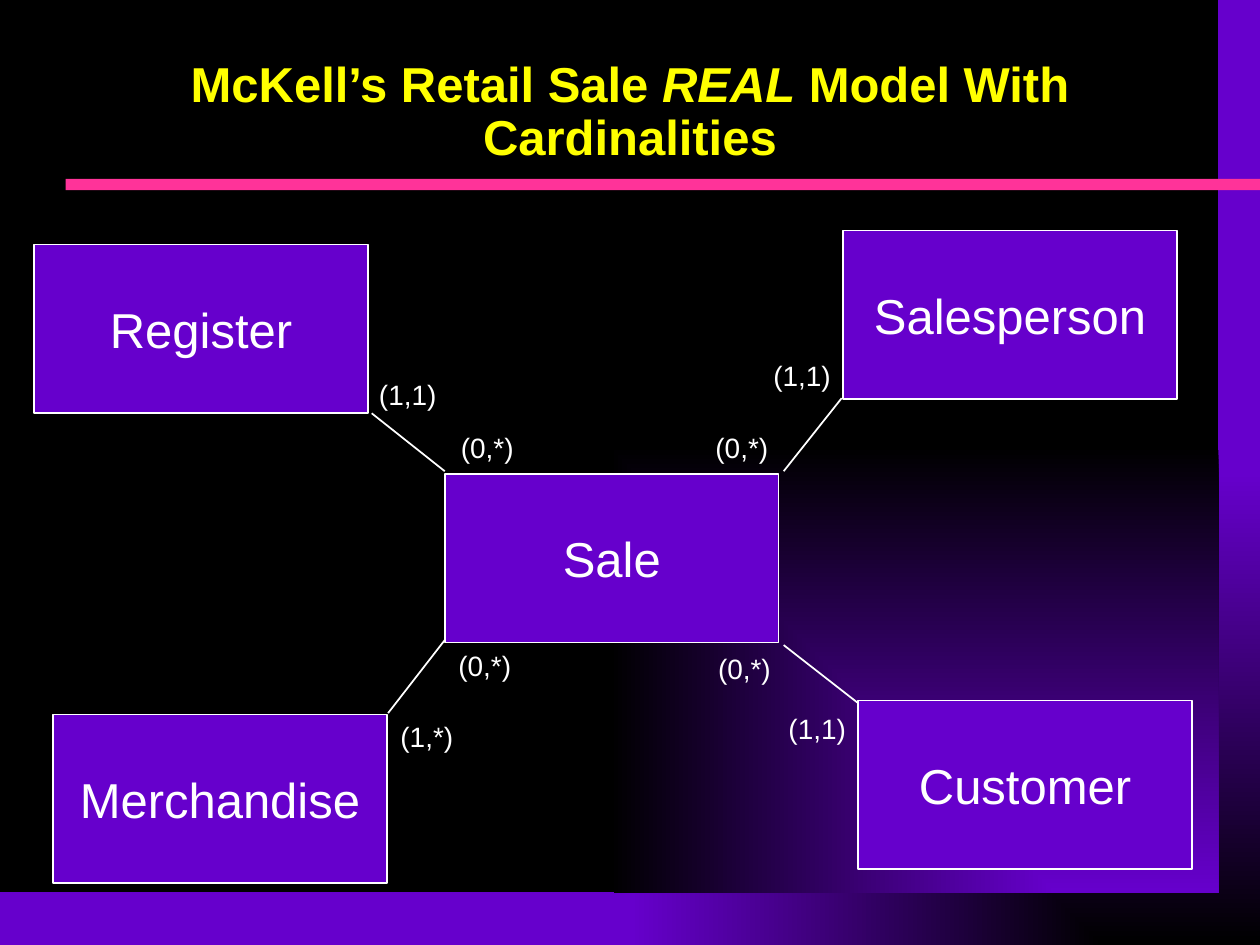
from lxml.etree import SubElement
from pptx import Presentation
from pptx.dml.color import RGBColor
from pptx.enum.shapes import MSO_CONNECTOR, MSO_SHAPE
from pptx.enum.text import MSO_ANCHOR, MSO_AUTO_SIZE, PP_ALIGN
from pptx.oxml.ns import qn
from pptx.util import Inches, Pt

BLACK = RGBColor(0x00, 0x00, 0x00)
PURPLE = RGBColor(0x66, 0x00, 0xCC)
PINK = RGBColor(0xFF, 0x33, 0x99)
YELLOW = RGBColor(0xFF, 0xFF, 0x00)
WHITE = RGBColor(0xFF, 0xFF, 0xFF)

ENTITY_WIDTH, ENTITY_HEIGHT = 2.65, 1.34
ENTITIES = [
    ("Sale", 3.53, 3.76),
    ("Customer", 6.81, 5.56),
    ("Merchandise", 0.42, 5.67),
    ("Salesperson", 6.69, 1.83),
    ("Register", 0.27, 1.94),
]
RELATIONSHIPS = [
    (2.95, 3.28, 3.53, 3.74),
    (6.22, 5.12, 6.81, 5.58),
    (6.22, 3.74, 6.68, 3.16),
    (3.08, 5.66, 3.53, 5.08),
]
CARDINALITIES = [
    ("(1,1)", 2.91, 2.95, 0.66),
    ("(0,*)", 3.56, 3.37, 0.62),
    ("(0,*)", 5.58, 3.37, 0.62),
    ("(1,1)", 6.04, 2.8, 0.66),
    ("(0,*)", 5.6, 5.12, 0.62),
    ("(1,1)", 6.16, 5.6, 0.66),
    ("(1,*)", 3.08, 5.66, 0.62),
    ("(0,*)", 3.54, 5.1, 0.62),
]


def set_corner_gradient(fill, owner, corner_color, far_color):
    fill.gradient()
    for stop, color in zip(fill.gradient_stops, (corner_color, far_color)):
        stop.color.rgb = color
    gradient = owner.find(".//" + qn("a:gradFill"))
    linear = gradient.find(qn("a:lin"))
    if linear is not None:
        gradient.remove(linear)
    rectangular = SubElement(gradient, qn("a:path"), path="rect")
    SubElement(rectangular, qn("a:fillToRect"), l="100000", t="100000")


def set_font(font, size, color):
    font.name = "Arial"
    font.size = Pt(size)
    font.color.rgb = color


def add_rectangle(slide, left, top, width, height):
    rectangle = slide.shapes.add_shape(
        MSO_SHAPE.RECTANGLE, Inches(left), Inches(top), Inches(width), Inches(height)
    )
    rectangle.shadow.inherit = False
    rectangle.line.fill.background()
    return rectangle


def add_backdrop(slide):
    set_corner_gradient(slide.background.fill, slide.element, BLACK, PURPLE)
    panel = add_rectangle(slide, 0, 0, 9.67, 7.08)
    set_corner_gradient(panel.fill, panel.element, PURPLE, BLACK)
    title_rule = add_rectangle(slide, 0.52, 1.42, 9.48, 0.09)
    title_rule.fill.solid()
    title_rule.fill.fore_color.rgb = PINK


def add_title(slide):
    title = slide.shapes.add_textbox(Inches(0.75), Inches(0.27), Inches(8.5), Inches(1.25))
    frame = title.text_frame
    frame.word_wrap = True
    frame.vertical_anchor = MSO_ANCHOR.MIDDLE
    paragraph = frame.paragraphs[0]
    paragraph.alignment = PP_ALIGN.CENTER
    paragraph.line_spacing = 0.9
    for words, italic in (
        ("McKell’s Retail Sale ", False),
        ("REAL", True),
        (" Model With Cardinalities", False),
    ):
        run = paragraph.add_run()
        run.text = words
        set_font(run.font, 28, YELLOW)
        run.font.bold = True
        run.font.italic = italic


def add_entity(slide, name, left, top):
    entity = add_rectangle(slide, left, top, ENTITY_WIDTH, ENTITY_HEIGHT)
    entity.fill.solid()
    entity.fill.fore_color.rgb = PURPLE
    entity.line.color.rgb = WHITE
    entity.line.width = Pt(1)
    frame = entity.text_frame
    frame.text = name
    frame.word_wrap = False
    frame.vertical_anchor = MSO_ANCHOR.MIDDLE
    frame.paragraphs[0].alignment = PP_ALIGN.CENTER
    set_font(frame.paragraphs[0].runs[0].font, 28, WHITE)


def add_relationship(slide, *ends):
    relationship = slide.shapes.add_connector(
        MSO_CONNECTOR.STRAIGHT, *(Inches(end) for end in ends)
    )
    relationship.line.color.rgb = WHITE
    relationship.line.width = Pt(1)
    SubElement(relationship.element.spPr, qn("a:effectLst"))


def add_cardinality(slide, label, left, top, width):
    cardinality = slide.shapes.add_textbox(
        Inches(left), Inches(top), Inches(width), Inches(0.37)
    )
    frame = cardinality.text_frame
    frame.text = label
    frame.word_wrap = False
    frame.auto_size = MSO_AUTO_SIZE.SHAPE_TO_FIT_TEXT
    set_font(frame.paragraphs[0].runs[0].font, 16, WHITE)


def main():
    presentation = Presentation()
    presentation.slide_width = Inches(10)
    presentation.slide_height = Inches(7.5)
    slide = presentation.slides.add_slide(presentation.slide_layouts[6])
    add_backdrop(slide)
    add_title(slide)
    for entity in ENTITIES:
        add_entity(slide, *entity)
    for relationship in RELATIONSHIPS:
        add_relationship(slide, *relationship)
    for cardinality in CARDINALITIES:
        add_cardinality(slide, *cardinality)
    presentation.save("out.pptx")


if __name__ == "__main__":
    main()
